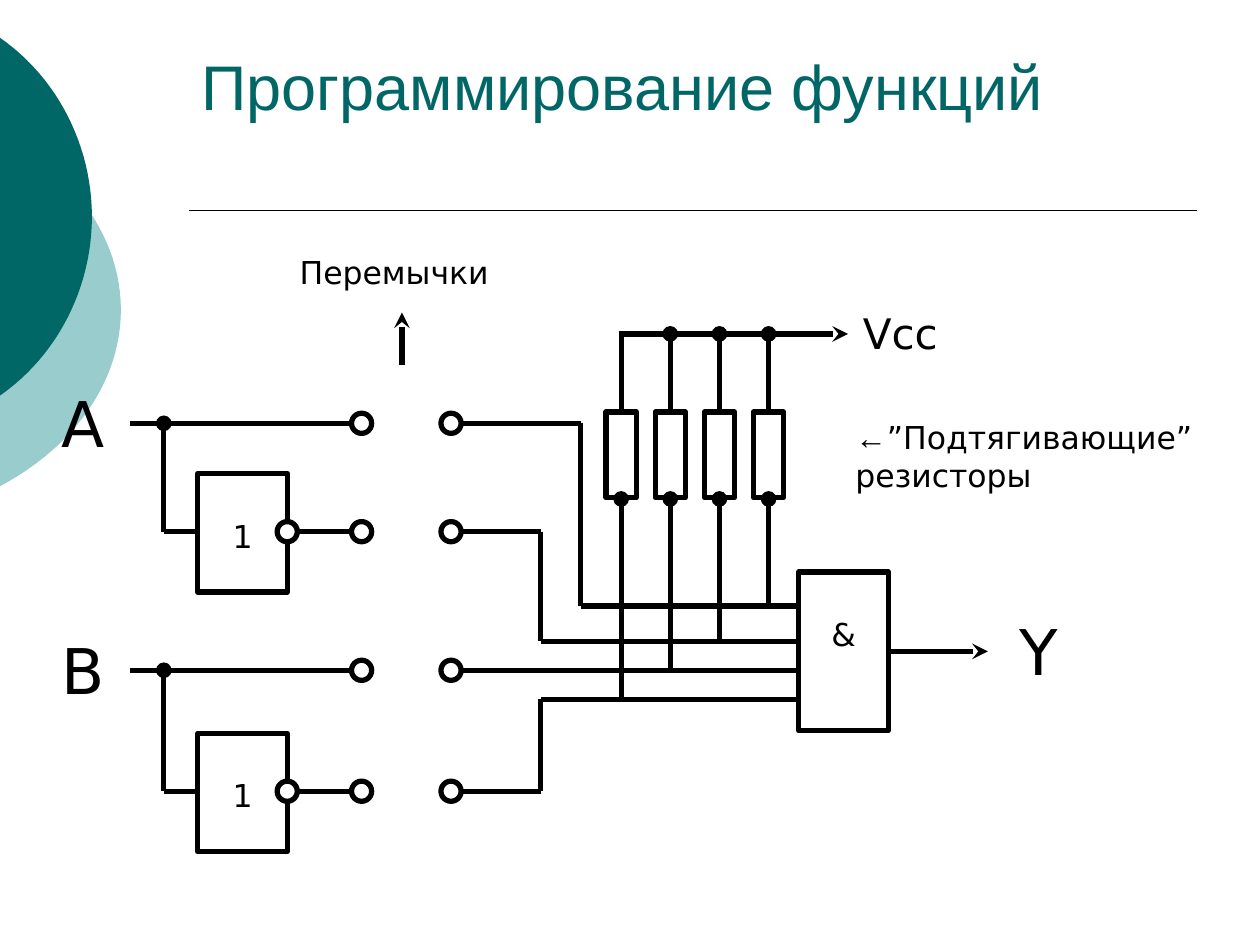
from lxml.etree import SubElement
from pptx import Presentation
from pptx.dml.color import RGBColor
from pptx.enum.shapes import MSO_CONNECTOR, MSO_SHAPE
from pptx.enum.text import MSO_ANCHOR, PP_ALIGN
from pptx.oxml.ns import qn
from pptx.util import Pt

SCALE = 9144
BLACK, WHITE, TEAL, PALE_TEAL = "000000", "FFFFFF", "006666", "99CCCC"
FONT = "DejaVu Sans"
INPUT_ROWS = {"A": (336, 422), "B": (532, 628)}
BUS_ROWS = [555, 532, 509, 481]
TERMINALS = (287, 358)
GATE_LEFT = 634


def px(length):
    """Turn a length in px into EMU."""
    return round(length * SCALE)


def paint(color_format, color):
    """Set a colour from a hex string."""
    color_format.rgb = RGBColor.from_string(color)


def style_text(paragraph, size, color=BLACK, font=FONT):
    """Set the font of a paragraph."""
    paragraph.font.size = Pt(size)
    paragraph.font.name = font
    paint(paragraph.font.color, color)


def add_title(slide, text):
    """Place and format the title placeholder."""
    title = slide.shapes.title
    title.left, title.top, title.width, title.height = map(px, (150, 33, 800, 125))
    frame = title.text_frame
    frame.text = text
    frame.vertical_anchor = MSO_ANCHOR.TOP
    frame.paragraphs[0].alignment = PP_ALIGN.LEFT
    style_text(frame.paragraphs[0], 36, TEAL, "Arial")


def add_label(slide, text, left, top, width, height, size):
    """Add a text box and return its paragraph."""
    frame = slide.shapes.add_textbox(*map(px, (left, top, width, height))).text_frame
    frame.word_wrap = True
    paragraph = frame.paragraphs[0]
    paragraph.add_run().text = text
    style_text(paragraph, size)
    return paragraph


def add_wire(slide, start, end, tail=None, width=3):
    """Add a straight line with an optional end mark."""
    wire = slide.shapes.add_connector(MSO_CONNECTOR.STRAIGHT, *map(px, start + end))
    wire.line.width = Pt(width)
    paint(wire.line.color, BLACK)
    if tail:
        SubElement(wire.line._get_or_add_ln(), qn("a:tailEnd"), type=tail)
    SubElement(wire._element.spPr, qn("a:effectLst"))


def add_path(slide, *points):
    """Join points by straight wires."""
    for start, end in zip(points, points[1:]):
        add_wire(slide, start, end)


def add_outline(slide, kind, left, top, width, height):
    """Add an unfilled preset shape with a black outline."""
    shape = slide.shapes.add_shape(kind, *map(px, (left, top, width, height)))
    shape.shadow.inherit = False
    shape.fill.background()
    shape.line.width = Pt(3)
    paint(shape.line.color, BLACK)
    return shape


def add_gate(slide, text, left, top, width, height):
    """Add a logic gate with its symbol."""
    frame = add_outline(slide, MSO_SHAPE.RECTANGLE, left, top, width, height).text_frame
    frame.vertical_anchor = MSO_ANCHOR.TOP
    frame.margin_top = px(34)
    frame.text = text
    frame.paragraphs[0].alignment = PP_ALIGN.CENTER
    style_text(frame.paragraphs[0], 18)


def add_circle(slide, x, y):
    """Add a white contact circle around a centre."""
    circle = add_outline(slide, MSO_SHAPE.OVAL, x - 8, y - 8, 16, 16)
    circle.fill.solid()
    paint(circle.fill.fore_color, WHITE)


def add_edge_disc(slide, color, middle, half, right, first, second):
    """Add a disc cut off by the left slide edge, from a mirrored curve."""
    curve = [(0, half), first, second, (right, 0)]
    weights = [((1 - t) ** 3, 3 * t * (1 - t) ** 2, 3 * t * t * (1 - t), t ** 3)
               for t in (step / 24 for step in range(25))]
    upper = [tuple(sum(w * point[axis] for w, point in zip(weight, curve))
                   for axis in (0, 1)) for weight in weights]
    points = [(px(x), px(middle - y)) for x, y in upper]
    points += [(px(x), px(middle + y)) for x, y in reversed(upper[:-1])]
    builder = slide.shapes.build_freeform(*points[0])
    builder.add_line_segments(points[1:], close=True)
    disc = builder.convert_to_shape()
    disc.shadow.inherit = False
    disc.fill.solid()
    paint(disc.fill.fore_color, color)
    disc.line.fill.background()


def add_input(slide, name, direct, inverted):
    """Add an input with its direct and inverted branches."""
    left, right = TERMINALS
    add_label(slide, name, 39, direct - 36, 63, 70, 36)
    add_wire(slide, (103, direct), (left, direct))
    add_wire(slide, (130, inverted), (130, direct), "oval")
    add_wire(slide, (130, inverted), (157, inverted))
    add_wire(slide, (228, inverted), (left, inverted))
    add_gate(slide, "1", 157, inverted - 46, 71, 94)
    add_circle(slide, 228, inverted)
    for row in (direct, inverted):
        add_circle(slide, left, row)
        add_circle(slide, right, row)


def add_resistor(slide, x, bus_row, top_mark):
    """Add a pull-up resistor between the supply and a bus row."""
    add_wire(slide, (x, bus_row), (x, 396), "oval")
    add_outline(slide, MSO_SHAPE.RECTANGLE, x - 12, 327, 24, 68)
    add_wire(slide, (x, 327), (x, 265), top_mark)


def main():
    """Build the slide and save it."""
    presentation = Presentation()
    presentation.slide_width, presentation.slide_height = px(1000), px(750)
    slide = presentation.slides.add_slide(presentation.slide_layouts[5])

    add_edge_disc(slide, PALE_TEAL, 246, 140, 96, (60, 108), (96, 56))
    add_edge_disc(slide, TEAL, 172, 142, 73, (46, 110), (73, 56))
    add_wire(slide, (150, 167), (950, 167), width=1)
    add_title(slide, "Программирование функций")

    contact = TERMINALS[1]
    (direct_a, inverted_a), (direct_b, inverted_b) = INPUT_ROWS.values()
    for turn, row, bus_row in ((461, direct_a, BUS_ROWS[3]),
                               (429, inverted_a, BUS_ROWS[2]),
                               (429, inverted_b, BUS_ROWS[0])):
        add_path(slide, (contact, row), (turn, row), (turn, bus_row), (GATE_LEFT, bus_row))
    add_wire(slide, (contact, direct_b), (GATE_LEFT, direct_b))
    for name, rows in INPUT_ROWS.items():
        add_input(slide, name, *rows)

    for index, bus_row in enumerate(BUS_ROWS):
        add_resistor(slide, 493 + 39 * index, bus_row, "oval" if index else None)
    add_wire(slide, (491, 265), (673, 265), "stealth")
    add_gate(slide, "&", GATE_LEFT, 454, 71, 126)
    add_wire(slide, (705, 517), (784, 517), "stealth")
    add_wire(slide, (319, 290), (319, 248), "stealth")

    add_label(slide, "Y", 799, 481, 63, 70, 36)
    add_label(slide, "Vcc", 675, 239, 149, 50, 24)
    add_label(slide, "Перемычки", 228, 196, 207, 40, 18)
    note = add_label(slide, "←", 669, 327, 295, 70, 18)
    note.runs[0].font.name = "Arial"
    note.add_run().text = "”Подтягивающие” резисторы"
    presentation.save("out.pptx")


if __name__ == "__main__":
    main()
